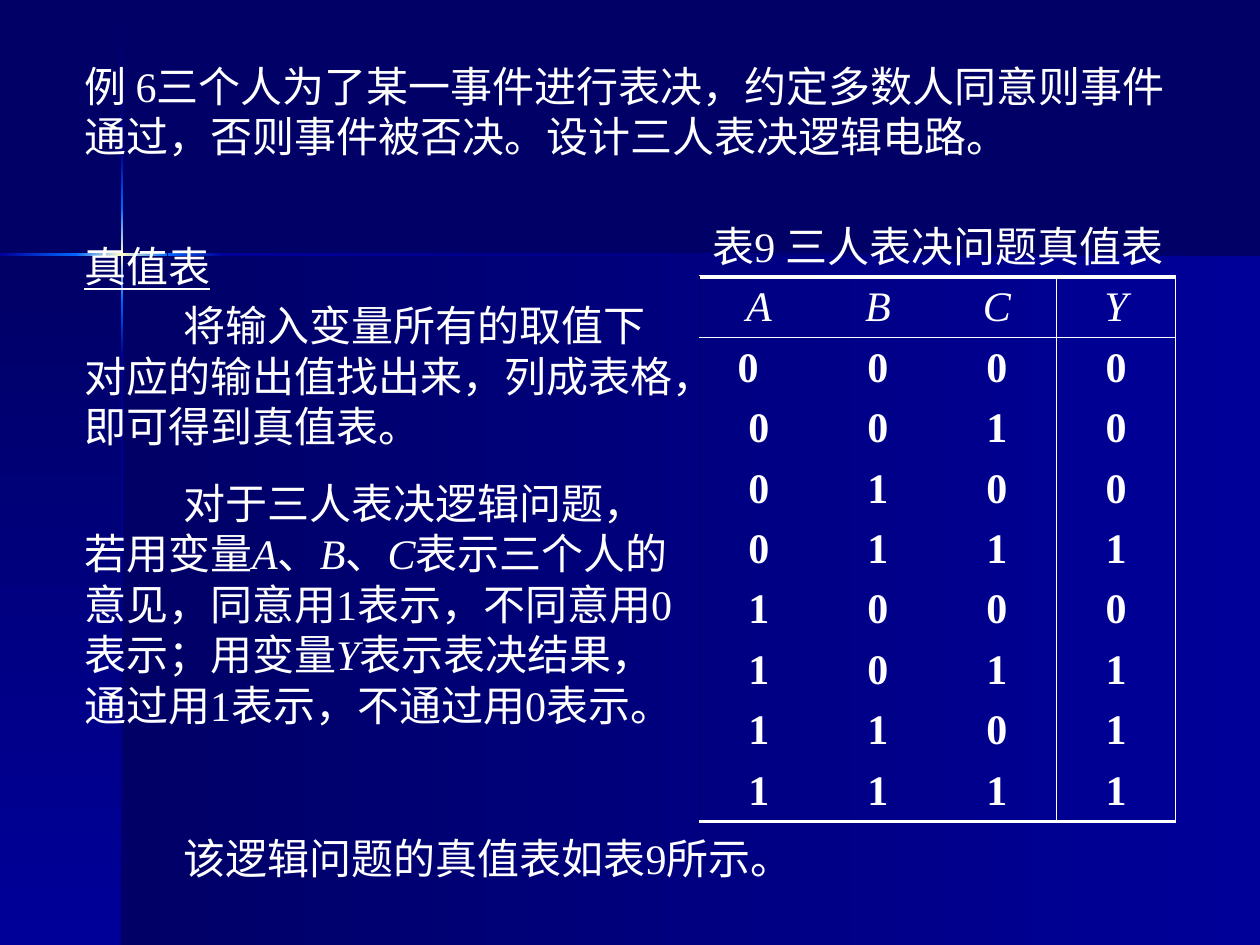
from copy import deepcopy
from dataclasses import dataclass

from lxml.etree import SubElement
from pptx import Presentation
from pptx.dml.color import RGBColor
from pptx.enum.lang import MSO_LANGUAGE_ID
from pptx.enum.shapes import MSO_SHAPE
from pptx.enum.text import MSO_ANCHOR, MSO_AUTO_SIZE, PP_ALIGN
from pptx.oxml.ns import qn
from pptx.util import Inches, Pt


@dataclass(frozen=True)
class Theme:
    navy: str = "000066"
    blue: str = "000099"
    bright: str = "0066FF"
    glow: str = "FFFFCC"
    text: str = "FFFFFF"
    font: str = "Times New Roman"
    size: float = 24
    rule: float = 1
    heavy_rule: float = 2.25


T = Theme()
COLS, ROWS = 100, 75  # grid laid over the slide
WIDTH, HEIGHT = Inches(10), Inches(7.5)
LEFT = 5.7  # left edge of the text, in columns
FIRST_LINE = 7.9  # paragraph indent, in columns
NO_STYLE = "{2D5ABB26-0587-4C30-8999-92F81FD0307C}"

TRUTH = [("A", "B", "C", "Y")] + [
    (a, b, c, int(a + b + c >= 2)) for a in (0, 1) for b in (0, 1) for c in (0, 1)
]


def cols(n):
    return round(WIDTH * n / COLS)


def rows(n):
    return round(HEIGHT * n / ROWS)


def place(x, y, w, h):
    """Turn a box in grid units into slide lengths."""
    return cols(x), rows(y), cols(w), rows(h)


def add_run(p, text, italic=False, bold=False, underline=False):
    r = p.add_run()
    r.text = text
    f = r.font
    f.name, f.size = T.font, Pt(T.size)
    f.italic, f.bold, f.underline = italic, bold, underline
    f.color.rgb = RGBColor.from_string(T.text)
    f.language_id = MSO_LANGUAGE_ID.SIMPLIFIED_CHINESE


def add_text(s, box, text, align=PP_ALIGN.LEFT, indent=0, underline=False):
    """Add a paragraph; words between underscores are italic."""
    tf = s.shapes.add_textbox(*place(*box)).text_frame
    tf.word_wrap = True
    tf.auto_size = MSO_AUTO_SIZE.SHAPE_TO_FIT_TEXT
    p = tf.paragraphs[0]
    p.alignment = align
    if indent:
        pPr = p._p.get_or_add_pPr()
        pPr.set("marL", "0")
        pPr.set("indent", str(cols(indent)))
    for i, part in enumerate(text.split("_")):
        add_run(p, part, italic=i % 2 == 1, underline=underline)


def add_gradient(group, box, colors, down=False):
    sp = group.shapes.add_shape(MSO_SHAPE.RECTANGLE, *place(*box))
    sp.shadow.inherit = False
    sp.line.fill.background()
    sp.fill.gradient()
    sp.fill.gradient_angle = 270 if down else 0
    stops = sp._element.spPr.find(qn("a:gradFill")).find(qn("a:gsLst"))
    for _ in colors[2:]:
        stops.append(deepcopy(stops[0]))
    for i, (stop, color) in enumerate(zip(sp.fill.gradient_stops, colors)):
        stop.position = i / (len(colors) - 1)
        stop.color.rgb = RGBColor.from_string(color)


def add_backdrop(s, cross_x, cross_y):
    """Two panels and a glowing cross centred on the given grid point."""
    s.background.fill.solid()
    s.background.fill.fore_color.rgb = RGBColor.from_string(T.navy)
    group = s.shapes.add_group_shape()
    panel_h = ROWS - cross_y
    add_gradient(group, (cross_x, cross_y, COLS - cross_x, panel_h), (T.navy, T.blue))
    add_gradient(group, (0, cross_y, cross_x, panel_h), (T.navy, T.blue), down=True)
    thin = 0.2
    glow = (T.bright, T.glow, T.bright)
    across = [
        (0, 6, (T.blue, T.bright)),
        (6, 13.3, glow),
        (13.3, 17.7, (T.bright, T.blue)),
        (17.7, COLS, (T.blue, T.navy)),
    ]
    downward = [
        (0, 12.1, (T.navy, T.blue)),
        (12.1, 16.5, (T.blue, T.bright)),
        (16.5, 23.8, glow),
        (23.8, 28.2, (T.bright, T.blue)),
        (28.2, ROWS, (T.blue, T.navy)),
    ]
    for start, end, colors in across:
        add_gradient(group, (start, cross_y - thin / 2, end - start, thin), colors)
    for start, end, colors in downward:
        add_gradient(group, (cross_x - thin / 2, start, thin, end - start), colors, True)


def set_borders(cell, borders):
    """Draw the four sides; a side that is not listed has no line."""
    tcPr = cell._tc.get_or_add_tcPr()
    for side in ("L", "R", "T", "B"):
        color, width = borders.get(side, (None, 0))
        ln = SubElement(tcPr, qn(f"a:ln{side}"), w=str(Pt(width)))
        if color:
            fill = SubElement(ln, qn("a:solidFill"))
            SubElement(fill, qn("a:srgbClr"), val=color)
        else:
            SubElement(ln, qn("a:noFill"))


def cell_borders(i, j, last_row, last_col):
    thin, heavy = (T.text, T.rule), (T.text, T.heavy_rule)
    borders = {}
    if j == 0:
        borders["L"] = (T.navy, T.rule)
    if j == last_col:
        borders["L"] = thin
    if j >= last_col - 1:
        borders["R"] = thin
    if i <= 1:
        borders["T"] = thin if i else heavy
    if i in (0, last_row):
        borders["B"] = heavy if i else thin
    return borders


def add_truth_table(s, box):
    n_rows, n_cols = len(TRUTH), len(TRUTH[0])
    x, y, w, h = place(*box)
    table = s.shapes.add_table(n_rows, n_cols, x, y, w, h).table
    table.horz_banding = False
    table._tbl.tblPr.find(qn("a:tableStyleId")).text = NO_STYLE
    for col in table.columns:
        col.width = w // n_cols
    for i, values in enumerate(TRUTH):
        table.rows[i].height = h // n_rows
        for j, value in enumerate(values):
            cell = table.cell(i, j)
            set_borders(cell, cell_borders(i, j, n_rows - 1, n_cols - 1))
            cell.fill.background()
            cell.vertical_anchor = MSO_ANCHOR.MIDDLE
            cell.margin_top = cell.margin_bottom = rows(0.4)
            p = cell.text_frame.paragraphs[0]
            p.alignment = PP_ALIGN.CENTER
            add_run(p, str(value), italic=i == 0, bold=i > 0)
    table.cell(1, 0).margin_right = cols(2.7)


def add_explanation(s):
    add_text(s, (LEFT, 4.3, 88.5, 9.1),
             "例 6三个人为了某一事件进行表决，约定多数人同意则事件通过，"
             "否则事件被否决。设计三人表决逻辑电路。")
    add_text(s, (LEFT, 18.6, 88.5, 5), "真值表", PP_ALIGN.JUSTIFY, underline=True)
    indented = [
        ((LEFT, 23.3, 49, 13.1),
         "将输入变量所有的取值下对应的输出值找出来，列成表格，即可得到真值表。"),
        ((LEFT, 37.4, 49, 21.2),
         "对于三人表决逻辑问题，若用变量_A_、_B_、_C_表示三个人的意见，"
         "同意用1表示，不同意用0表示；用变量_Y_表示表决结果，"
         "通过用1表示，不通过用0表示。"),
        ((LEFT, 65.6, 88.4, 5), "该逻辑问题的真值表如表9所示。"),
    ]
    for box, text in indented:
        add_text(s, box, text, indent=FIRST_LINE)


def main():
    prs = Presentation()
    prs.slide_width, prs.slide_height = WIDTH, HEIGHT
    s = prs.slides.add_slide(prs.slide_layouts[6])
    add_backdrop(s, 9.7, 20.2)
    add_explanation(s)
    add_truth_table(s, (55.5, 22, 37.8, 43.1))
    add_text(s, (53.2, 17, 42.5, 5), "表9 三人表决问题真值表", PP_ALIGN.CENTER)
    prs.save("out.pptx")


if __name__ == "__main__":
    main()
